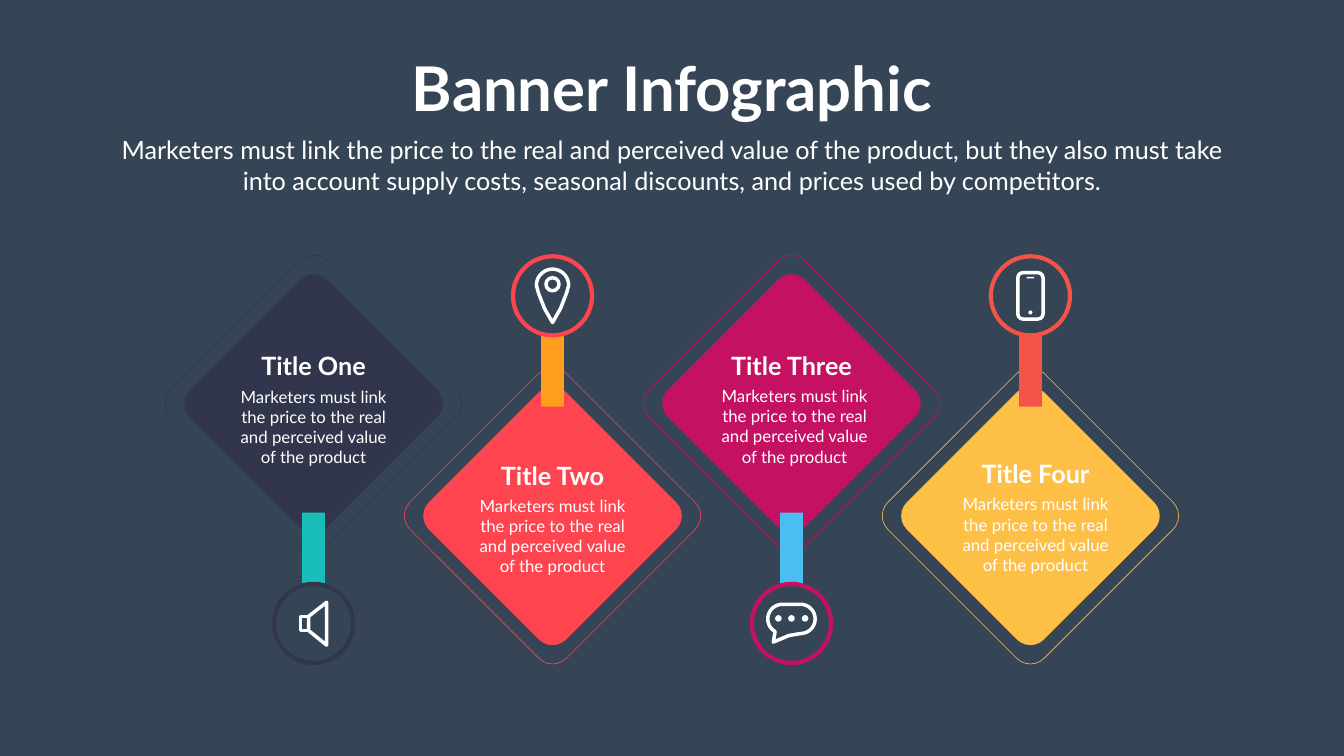
from math import cos, radians, sin
from pptx import Presentation
from pptx.dml.color import RGBColor
from pptx.enum.shapes import MSO_SHAPE as G
from pptx.enum.text import MSO_ANCHOR as ANCHOR, MSO_AUTO_SIZE as FIT, PP_ALIGN as ALIGN
from pptx.util import Inches, Pt

THEME = dict(font="Lato", bg="364556", ink="FFFFFF", navy="31364C", teal="19BEBB",
             red="FE444F", orange="FF9E1C", plum="C41162", sky="4ABDF2",
             amber="FEBF46", coral="F35349", heading=88, lead=36, title=36, body=24,
             hairline=0.88, ring=6, icon=5)

# Grid: four columns around the slide's centre, staggered about one middle line
W, H = 26.66, 15
COL, MID = 4.74, 9.12
STAGGER, REACH = 1.115, 3.25
CORNER = 0.38

prs = Presentation()
prs.slide_width, prs.slide_height = Inches(W), Inches(H)
s = prs.slides.add_slide(prs.slide_layouts[0])
s.background.fill.solid()
s.background.fill.fore_color.rgb = RGBColor.from_string(THEME["bg"])


def add(kind, cx, cy, w, h, fill=None, line=None, pt=0):
    """Add a shape by its centre, or an outline when kind is a list of points."""
    if isinstance(kind, list):
        pts = [(Inches(cx + x), Inches(cy + y)) for x, y in kind]
        fb = s.shapes.build_freeform(*pts[0])
        fb.add_line_segments(pts[1:], close=True)
        sp = fb.convert_to_shape()
    else:
        sp = s.shapes.add_shape(kind, Inches(cx - w / 2), Inches(cy - h / 2),
                                Inches(w), Inches(h))
    sp.shadow.inherit = False
    if kind == G.ROUNDED_RECTANGLE:
        sp.adjustments[0] = min(CORNER, w / 5) / w
    for part, colour in ((sp.fill, fill), (sp.line.fill, line)):
        if colour:
            part.solid()
            part.fore_color.rgb = RGBColor.from_string(THEME[colour])
        else:
            part.background()
    if line:
        sp.line.width = Pt(pt)
    return sp


def arc(cx, cy, r, start, end):
    return [(cx + r * cos(radians(a)), cy + r * sin(radians(a)))
            for a in range(start, end + 1, 10)]


# Icon parts: kind, centre x and y, width, height, filled; measured from the badge centre
speaker = [([(-0.1, -0.14), (0.26, -0.42), (0.26, 0.43), (-0.1, 0.14)], 0, 0, 0, 0, False),
           (G.RECTANGLE, -0.18, 0, 0.15, 0.28, False)]
pin = [(arc(0, -0.21, 0.32, 180, 360) + [(0.28, -0.06), (0.16, 0.25), (0, 0.53),
                                         (-0.16, 0.25), (-0.28, -0.06)], 0, 0, 0, 0, False),
       (G.OVAL, 0, -0.23, 0.26, 0.26, False)]
bubble = [(arc(-0.18, -0.09, 0.29, 120, 270) + arc(0.18, -0.09, 0.29, 270, 450)
           + [(-0.05, 0.24), (-0.36, 0.37)], 0, 0, 0, 0, False)]
bubble += [(G.OVAL, x, -0.1, 0.13, 0.13, True) for x in (-0.26, 0, 0.27)]
phone = [(G.ROUNDED_RECTANGLE, 0, 0, 0.5, 0.92, False),
         (G.OVAL, 0, 0.33, 0.08, 0.08, True),
         (G.RECTANGLE, 0, -0.36, 0.15, 0.03, True)]

# Title, diamond, strap, ring, icon, title shift, body shift, text top from diamond centre
banners = [("Title One", "navy", "teal", "navy", speaker, 0, 0, -1.1),
           ("Title Two", "red", "orange", "red", pin, 0, 0, -1.16),
           ("Title Three", "plum", "sky", "plum", bubble, 0, 0.06, -1.11),
           ("Title Four", "amber", "coral", "coral", phone, 0.1, 0.1, -1.19)]
BODY = "Marketers must link the price to the real and perceived value of the product"

# Heading and lead text sit in the placeholders
heading, lead = s.placeholders
texts = [(heading, "Banner Infographic", "heading", W / 2, 0.95, 10.78, 1.58),
         (lead, "Marketers must link the price to the real and perceived value of the "
                "product, but they also must take into account supply costs, seasonal "
                "discounts, and prices used by competitors.", "lead", W / 2, 2.62, 22.21, 1.31)]

# Banners: diamonds alternate up and down, badges hang on the other side
for i, (name, colour, strap, ring, icon, dx, body_dx, dy) in enumerate(banners):
    side = -1 if i % 2 == 0 else 1
    x = W / 2 + (i - 1.5) * COL
    y = MID + side * STAGGER
    badge_y = MID - side * REACH

    add(G.ROUNDED_RECTANGLE, x, y, 4.38, 4.38, None, colour, THEME["hairline"]).rotation = 45
    add(G.ROUNDED_RECTANGLE, x, y, 3.85, 3.85, colour).rotation = 45
    add(G.RECTANGLE, x, badge_y + side * 1.1, 0.45, 2.2, strap)
    add(G.OVAL, x, badge_y, 1.57, 1.57, "bg", ring, THEME["ring"])
    for kind, px, py, w, h, filled in icon:
        add(kind, x + px, badge_y + py, w, h, "ink" if filled else None,
            None if filled else "ink", THEME["icon"])

    texts += [(None, name, "title", x + dx, y + dy, 2.95, 0.71),
              (None, BODY, "body", x + body_dx, y + dy + 0.71, 3.35, 1.72)]

# All text
for sp, text, role, cx, top, w, h in texts:
    box = Inches(cx - w / 2), Inches(top), Inches(w), Inches(h)
    if sp is None:
        sp = s.shapes.add_textbox(*box)
    sp.left, sp.top, sp.width, sp.height = box
    tf = sp.text_frame
    tf.word_wrap = role != "heading"
    tf.auto_size = FIT.NONE
    tf.vertical_anchor = ANCHOR.TOP
    p = tf.paragraphs[0]
    p.alignment = ALIGN.CENTER
    p.space_before = Pt(0)
    r = p.add_run()
    r.text = text
    r.font.name = THEME["font"]
    r.font.size = Pt(THEME[role])
    r.font.bold = role in ("heading", "title")
    r.font.color.rgb = RGBColor.from_string(THEME["ink"])

prs.save("out.pptx")
